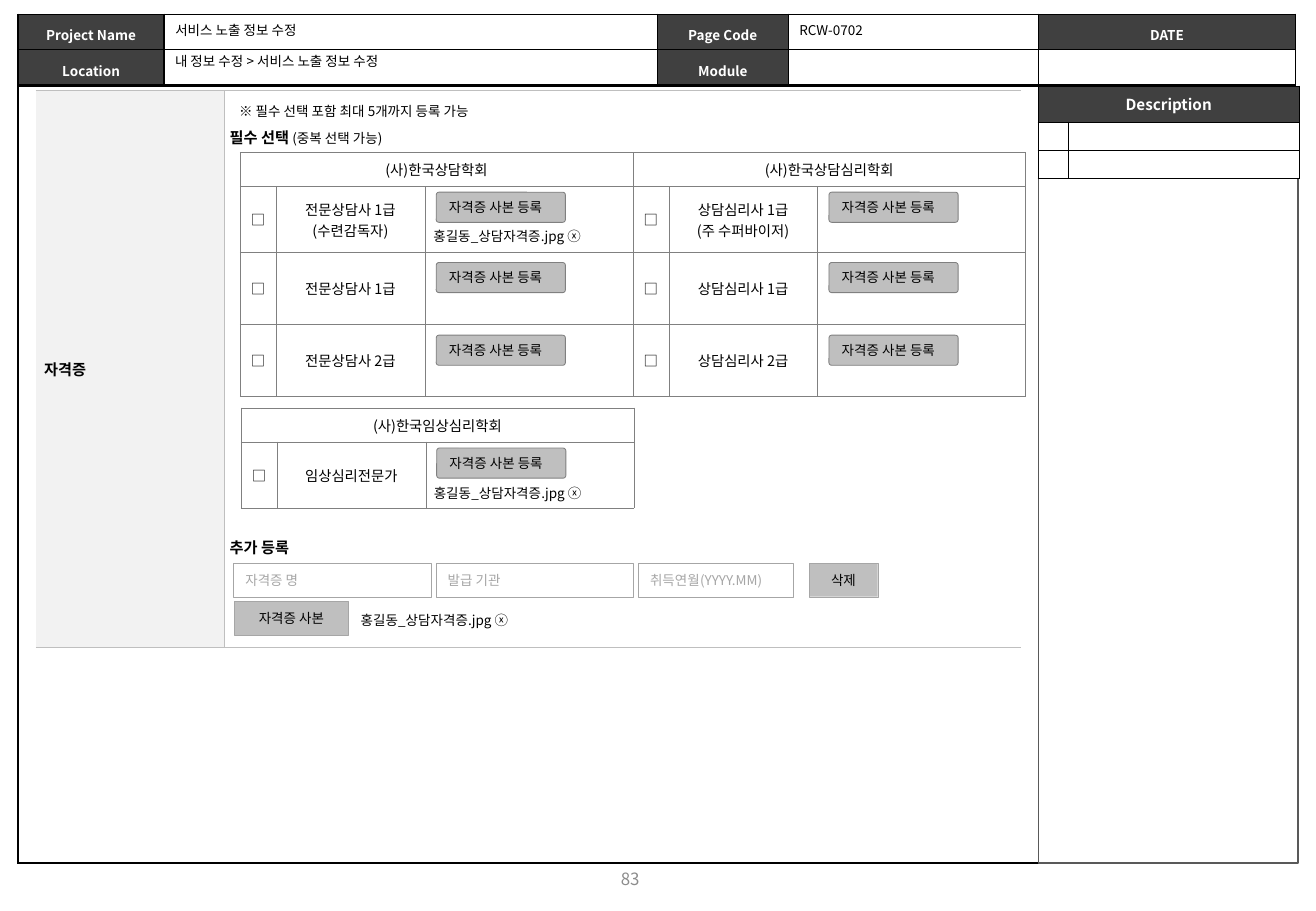
from dataclasses import dataclass
from itertools import product

from lxml import etree
from pptx import Presentation
from pptx.dml.color import RGBColor
from pptx.enum import shapes, text
from pptx.oxml import ns
from pptx.util import Cm, Pt

SANS = "Noto Sans CJK KR"
LEFT, CENTER = text.PP_ALIGN.LEFT, text.PP_ALIGN.CENTER
TOP, MIDDLE = text.MSO_ANCHOR.TOP, text.MSO_ANCHOR.MIDDLE


@dataclass(frozen=True)
class Style:
    size: float
    color: str = "000000"
    bold: bool = False
    font: str = SANS


@dataclass(frozen=True)
class Theme:
    black: str = "000000"
    white: str = "FFFFFF"
    dark: str = "404040"
    panel: str = "595959"
    grey: str = "808080"
    field: str = "A6A6A6"
    button: str = "BFBFBF"
    pale: str = "F2F2F2"
    body: Style = Style(8)
    heading: Style = Style(9, bold=True)
    header: Style = Style(8, "FFFFFF", True)
    description: Style = Style(9, "FFFFFF", True)
    hint: Style = Style(8, "A6A6A6")
    upload: Style = Style(8, font="Roboto")
    certificate: Style = Style(8.5)
    page: Style = Style(10, "8C8C8C")


@dataclass(frozen=True)
class Grid:
    """Table outline in centimetres, with its border."""
    x: float
    y: float
    cols: tuple[float, ...]
    rows: tuple[float, ...]
    line: str
    weight: float
    fill: str | None = None


@dataclass(frozen=True)
class Box:
    x: float
    y: float
    w: float
    h: float
    label: str = ""
    style: Style = Style(8)
    fill: str = "FFFFFF"
    line: str = "A6A6A6"
    weight: float = 0.25
    align: text.PP_ALIGN = LEFT
    rounded: bool = False


@dataclass(frozen=True)
class Label:
    x: float
    y: float
    w: float
    h: float
    runs: tuple[tuple[str, Style], ...]
    wrap: bool = False
    align: text.PP_ALIGN = LEFT
    anchor: text.MSO_ANCHOR = TOP


T = Theme()


def add_run(p, words: str, style: Style) -> None:
    r = p.add_run()
    r.text = words
    r.font.size, r.font.bold, r.font.name = Pt(style.size), style.bold, style.font
    r.font.color.rgb = RGBColor.from_string(style.color)
    etree.SubElement(r.font._element, ns.qn("a:ea"), typeface=SANS)


def set_fill(fill, color: str | None) -> None:
    if color is None:
        fill.background()
    else:
        fill.solid()
        fill.fore_color.rgb = RGBColor.from_string(color)


def set_borders(cell, color: str, weight: float, sides: str = "LRTB") -> None:
    """Draw the named sides and clear the others."""
    tc_pr = cell._tc.get_or_add_tcPr()
    for old in [e for e in tc_pr if e.tag.startswith(ns.qn("a:ln"))]:
        tc_pr.remove(old)
    for i, side in enumerate("LRTB"):
        ln = etree.Element(ns.qn(f"a:ln{side}"), w=str(Pt(weight)))
        if side in sides:
            solid = etree.SubElement(ln, ns.qn("a:solidFill"))
            etree.SubElement(solid, ns.qn("a:srgbClr"), val=color)
        else:
            etree.SubElement(ln, ns.qn("a:noFill"))
        tc_pr.insert(i, ln)


def add_grid(slide, grid: Grid):
    shape = slide.shapes.add_table(len(grid.rows), len(grid.cols), Cm(grid.x), Cm(grid.y),
                                   Cm(sum(grid.cols)), Cm(sum(grid.rows)))
    table = shape.table
    table.first_row = table.horz_banding = False
    for col, width in zip(table.columns, grid.cols):
        col.width = Cm(width)
    for row, height in zip(table.rows, grid.rows):
        row.height = Cm(height)
    for cell in table.iter_cells():
        cell.margin_left = cell.margin_right = cell.margin_top = cell.margin_bottom = Cm(0.03)
        cell.text_frame.paragraphs[0]._p.get_or_add_endParaRPr().set("sz", "800")
        set_fill(cell.fill, grid.fill)
        set_borders(cell, grid.line, grid.weight)
    return table


def write_cell(cell, words: str, style: Style, fill: str = T.white, align=CENTER, anchor=MIDDLE) -> None:
    set_fill(cell.fill, fill)
    cell.vertical_anchor = anchor
    tf = cell.text_frame
    for i, line in enumerate(words.split("\n")):
        p = tf.add_paragraph() if i else tf.paragraphs[0]
        p.alignment = align
        add_run(p, line, style)


def add_certificates(slide, grid: Grid, societies: list[tuple[str, list[str]]]) -> None:
    """Each society takes three columns: check box, certificate and upload."""
    table = add_grid(slide, grid)
    for i, (society, certificates) in enumerate(societies):
        c = 3 * i
        table.cell(0, c).merge(table.cell(0, c + 2))
        write_cell(table.cell(0, c), society, T.certificate)
        for r, certificate in enumerate(certificates, 1):
            write_cell(table.cell(r, c), "□", T.certificate)
            write_cell(table.cell(r, c + 1), certificate, T.certificate)


def add_box(slide, box: Box) -> None:
    kind = shapes.MSO_SHAPE.ROUNDED_RECTANGLE if box.rounded else shapes.MSO_SHAPE.RECTANGLE
    sp = slide.shapes.add_shape(kind, Cm(box.x), Cm(box.y), Cm(box.w), Cm(box.h))
    if box.rounded:
        sp.adjustments[0] = 0.09
    sp.shadow.inherit = False
    set_fill(sp.fill, box.fill)
    sp.line.color.rgb = RGBColor.from_string(box.line)
    sp.line.width = Pt(box.weight)
    if box.label:
        tf = sp.text_frame
        tf.word_wrap, tf.vertical_anchor = False, MIDDLE
        p = tf.paragraphs[0]
        p.alignment = box.align
        add_run(p, box.label, box.style)


def add_label(slide, label: Label, sp=None) -> None:
    """Fill the given placeholder, or a new text box."""
    area = Cm(label.x), Cm(label.y), Cm(label.w), Cm(label.h)
    sp = sp or slide.shapes.add_textbox(*area)
    sp.left, sp.top, sp.width, sp.height = area
    tf = sp.text_frame
    tf.word_wrap, tf.vertical_anchor = label.wrap, label.anchor
    tf.auto_size = text.MSO_AUTO_SIZE.NONE
    p = tf.paragraphs[0]
    p.alignment, p.line_spacing = label.align, 1.0
    for words, style in label.runs:
        add_run(p, words, style)


def main() -> None:
    prs = Presentation()
    prs.slide_width, prs.slide_height = Cm(27.51), Cm(19.05)
    slide = prs.slides.add_slide(prs.slide_layouts[5])

    add_grid(slide, Grid(0.38, 1.8, (26.7,), (16.25,), T.black, 1))
    header = add_grid(slide, Grid(0.38, 0.3, (3.05, 10.31, 2.74, 5.23, 5.37), (0.74, 0.74), T.black, 1))
    for r, c, name in [(0, 0, "Project Name"), (0, 2, "Page Code"), (0, 4, "DATE"),
                       (1, 0, "Location"), (1, 2, "Module")]:
        cell = header.cell(r, c)
        write_cell(cell, name, T.header, T.dark, anchor=TOP)
        cell.margin_top = cell.margin_bottom = Cm(0.1)
        cell.text_frame.paragraphs[0].line_spacing = 1.3
    add_box(slide, Box(21.71, 2.54, 5.42, 15.51, line=T.panel, weight=1))

    section = add_grid(slide, Grid(0.75, 1.9, (3.94, 16.65), (11.63,), T.button, 0.5, T.white))
    write_cell(section.cell(0, 0), "자격증", T.heading, T.pale, LEFT)
    section.cell(0, 0).margin_left = Cm(0.17)
    set_borders(section.cell(0, 0), T.button, 0.5, "RTB")
    set_borders(section.cell(0, 1), T.button, 0.5, "LTB")

    notes = add_grid(slide, Grid(21.7, 1.8, (0.64, 4.82), (0.75, 0.59, 0.59), T.black, 0.5, T.white))
    notes.cell(0, 0).merge(notes.cell(0, 1))
    write_cell(notes.cell(0, 0), "Description", T.description, T.dark)

    columns = (0.75, 3.11, 4.35)
    add_certificates(slide, Grid(5.02, 3.19, columns * 2, (0.71, 1.38, 1.5, 1.5), T.grey, 0.25, T.white), [
        ("(사)한국상담학회", ["전문상담사 1급\n(수련감독자)", "전문상담사 1급", "전문상담사 2급"]),
        ("(사)한국상담심리학회", ["상담심리사 1급\n(주 수퍼바이저)", "상담심리사 1급", "상담심리사 2급"]),
    ])
    add_certificates(slide, Grid(5.04, 8.53, columns, (0.71, 1.38), T.grey, 0.25, T.white),
                     [("(사)한국임상심리학회", ["임상심리전문가"])])

    uploads = [*product((9.12, 17.33), (4.02, 5.49, 7.01)), (9.13, 9.37)]
    for x, y in uploads:
        add_box(slide, Box(x, y, 2.7, 0.63, "자격증 사본 등록", T.upload, T.button, T.grey, 0.5, rounded=True))
    for x, w, hint in [(4.88, 4.13, "자격증 명"), (9.11, 4.13, "발급 기관"), (13.34, 3.25, "취득연월(YYYY.MM)")]:
        add_box(slide, Box(x, 11.78, w, 0.7, hint, T.hint))
    for x, y, w, name in [(16.92, 11.78, 1.43, "삭제"), (4.9, 12.58, 2.39, "자격증 사본")]:
        add_box(slide, Box(x, y, w, 0.7, name, T.body, T.button, align=CENTER))

    add_label(slide, Label(3.41, 0.33, 3.38, 0.6, (("서비스 노출 정보 수정", T.body),)), slide.shapes.title)
    for label in [
        Label(3.41, 0.98, 5.41, 0.6, (("내 정보 수정 > 서비스 노출 정보 수정", T.body),)),
        Label(16.46, 0.33, 1.88, 0.6, (("RCW-0702", T.body),)),
        Label(4.75, 2.03, 5.89, 0.6, (("※ 필수 선택 포함 최대 5개까지 등록 가능", T.body),)),
        Label(4.55, 2.56, 4.11, 0.64, (("필수 선택 ", T.heading), ("(중복 선택 가능)", T.body))),
        Label(4.55, 11.13, 1.9, 0.64, (("추가 등록", T.heading),)),
        Label(9.96, 17.86, 6.43, 1.02, (("83", T.page),), True, CENTER, MIDDLE),
    ]:
        add_label(slide, label)
    for x, y in [(8.81, 4.65), (8.82, 10.01), (7.29, 12.67)]:
        add_label(slide, Label(x, y, 3.6, 0.6, (("홍길동_상담자격증.jpg ⓧ", T.body),), True))

    prs.save("out.pptx")


if __name__ == "__main__":
    main()
